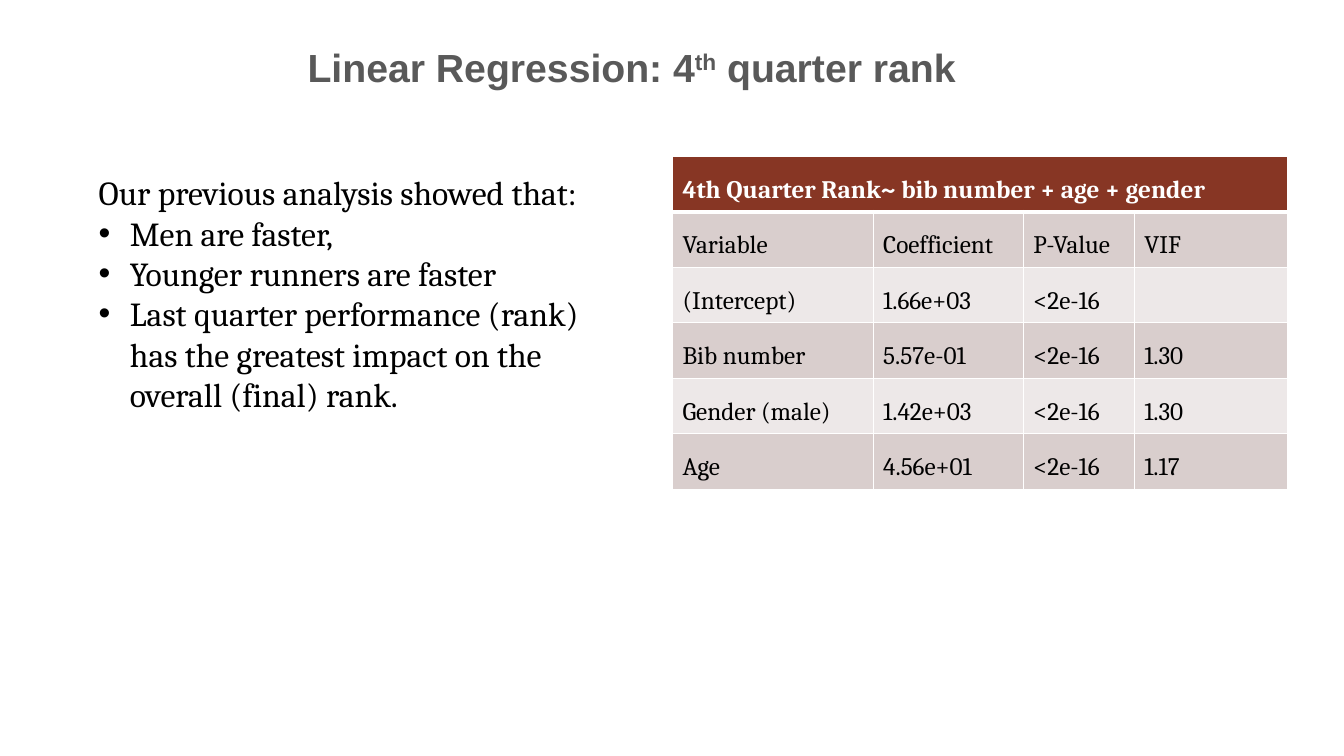
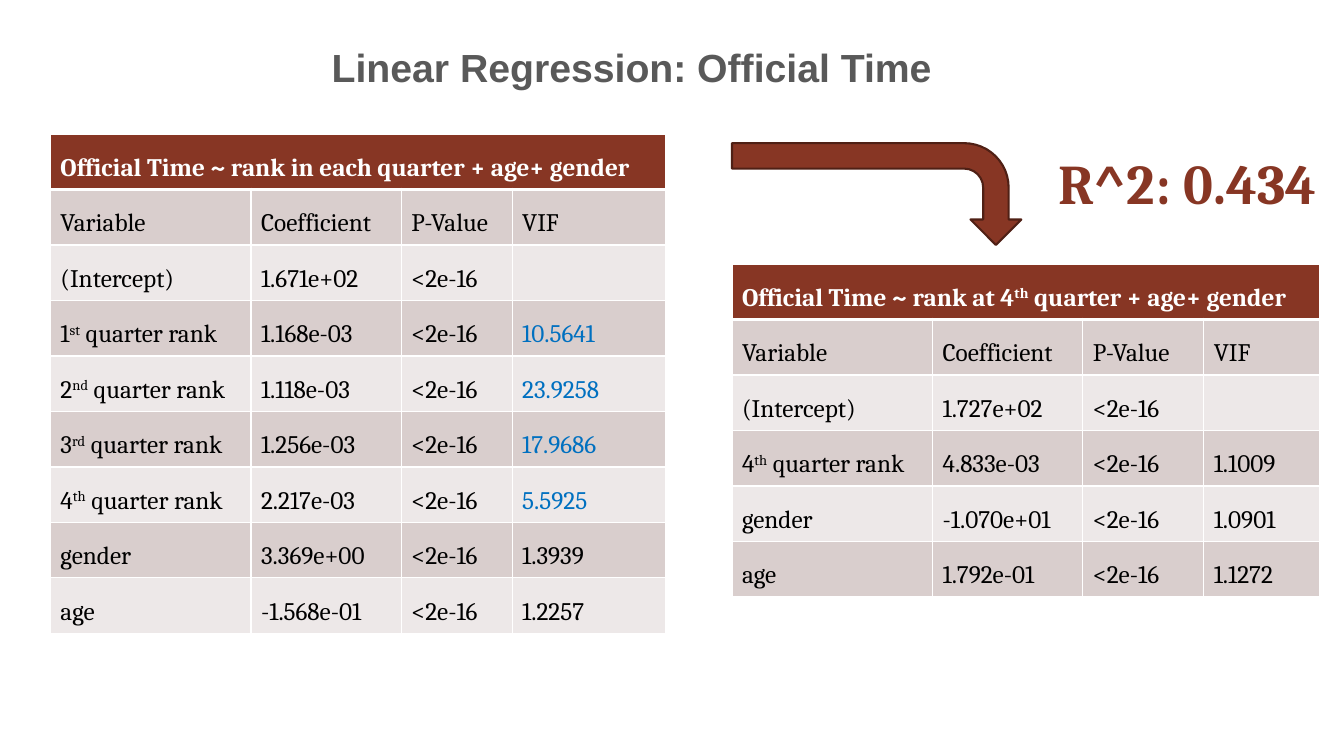
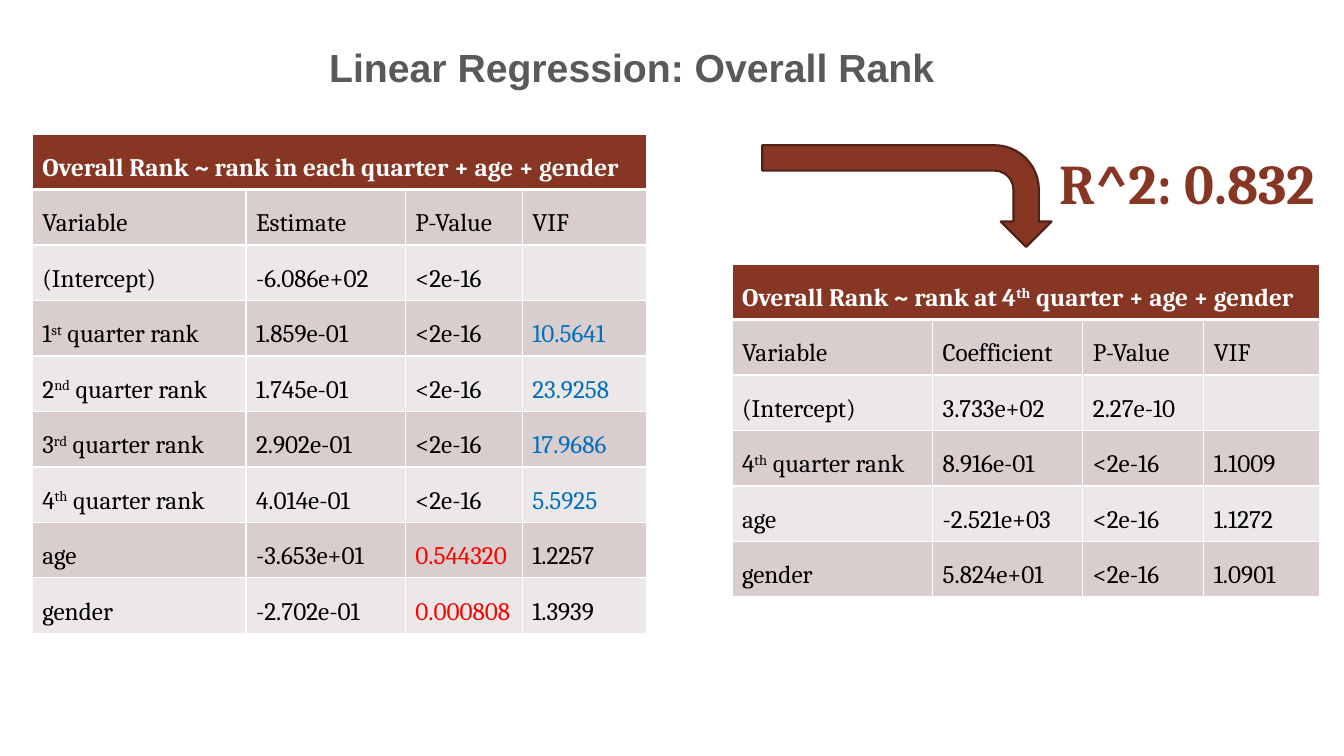
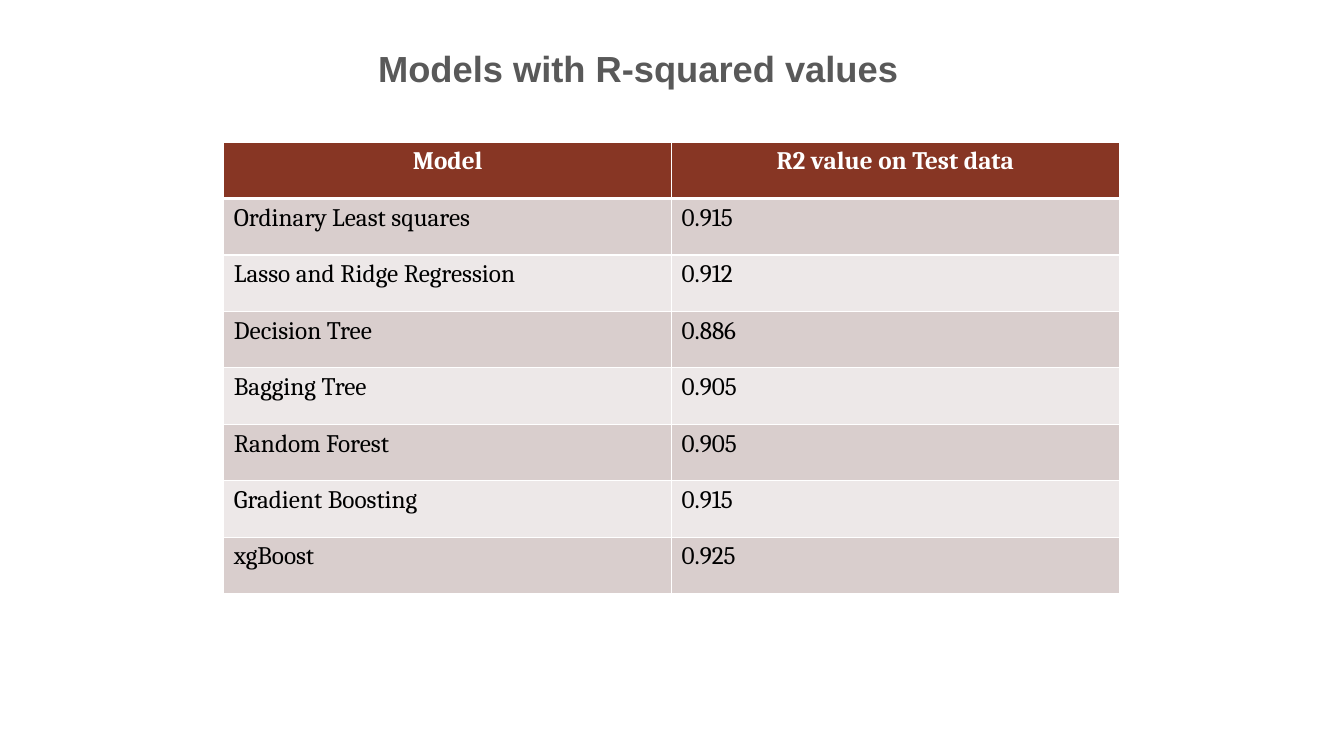
from lxml.etree import SubElement
from pptx import Presentation
from pptx.dml.color import RGBColor
from pptx.enum.shapes import MSO_SHAPE
from pptx.enum.text import MSO_ANCHOR, PP_ALIGN
from pptx.oxml.ns import qn
from pptx.util import Pt

PX = 9144  # EMU in one px, 100 px to the inch
COLORS = {
    "brick": "873624", "dark_brick": "4F2015", "band": "D9CECD",
    "pale_band": "EDE8E8", "white": "FFFFFF", "black": "000000",
    "grey": "595959", "blue": "0070C0", "red": "FF0000",
}
SERIF, SANS = "Cambria", "Arial"
TITLE_BOX = (148, 34, 957, 64)
R2_BOX = (1035, 142, 285, 77)
ROW_H, MODEL_ROW_H = 41, 56
WIDE_COLS = (199, 149, 110, 152)
ESTIMATE_COLS = (212, 158, 116, 123)
NARROW_COLS = (199, 149, 120, 115)

# Braces mark superscript; a (text, colour) pair colours a table cell.
FINDINGS = [
    "Our previous analysis showed that:",
    "Men are faster,",
    "Younger runners are faster",
    "Last quarter performance (rank) has the greatest impact on the overall (final) rank.",
]
LABELS = ("Variable", "Coefficient", "P-Value", "VIF")
P_MIN = "<2e-16"
QUARTERS = [("1{st} quarter rank", "10.5641"), ("2{nd} quarter rank", "23.9258"),
            ("3{rd} quarter rank", "17.9686"), ("4{th} quarter rank", "5.5925")]


def quarter_rows(coefficients):
    return [(name, value, P_MIN, (vif, "blue"))
            for (name, vif), value in zip(QUARTERS, coefficients)]


REGRESSIONS = [
    {
        "title": "Linear Regression: 4{th} quarter rank",
        "tables": [(667, 155, WIDE_COLS, [
            ("4th Quarter Rank~ bib number + age + gender",),
            LABELS,
            ("(Intercept)", "1.66e+03", P_MIN, ""),
            ("Bib number", "5.57e-01", P_MIN, "1.30"),
            ("Gender (male)", "1.42e+03", P_MIN, "1.30"),
            ("Age", "4.56e+01", P_MIN, "1.17"),
        ])],
        "findings": FINDINGS,
    },
    {
        "title": "Linear Regression: Official Time",
        "tables": [
            (50, 133, WIDE_COLS, [
                ("Official Time ~ rank in each quarter + age+ gender",),
                LABELS,
                ("(Intercept)", "1.671e+02", P_MIN, ""),
                *quarter_rows(["1.168e-03", "1.118e-03", "1.256e-03", "2.217e-03"]),
                ("gender", "3.369e+00", P_MIN, "1.3939"),
                ("age", "-1.568e-01", P_MIN, "1.2257"),
            ]),
            (726, 262, NARROW_COLS, [
                ("Official Time ~ rank at 4{th} quarter + age+ gender",),
                LABELS,
                ("(Intercept)", "1.727e+02", P_MIN, ""),
                ("4{th} quarter rank", "4.833e-03", P_MIN, "1.1009"),
                ("gender", "-1.070e+01", P_MIN, "1.0901"),
                ("age", "1.792e-01", P_MIN, "1.1272"),
            ]),
        ],
        "arrow": (819, 49, 101, 287),
        "r2": "R^2: 0.434",
    },
    {
        "title": "Linear Regression: Overall Rank",
        "tables": [
            (32, 133, ESTIMATE_COLS, [
                ("Overall Rank ~ rank in each quarter + age + gender",),
                ("Variable", "Estimate", "P-Value", "VIF"),
                ("(Intercept)", "-6.086e+02", P_MIN, ""),
                *quarter_rows(["1.859e-01", "1.745e-01", "2.902e-01", "4.014e-01"]),
                ("age", "-3.653e+01", ("0.544320", "red"), "1.2257"),
                ("gender", "-2.702e-01", ("0.000808", "red"), "1.3939"),
            ]),
            (726, 262, NARROW_COLS, [
                ("Overall Rank ~ rank at 4{th} quarter + age + gender",),
                LABELS,
                ("(Intercept)", "3.733e+02", "2.27e-10", ""),
                ("4{th} quarter rank", "8.916e-01", P_MIN, "1.1009"),
                ("age", "-2.521e+03", P_MIN, "1.1272"),
                ("gender", "5.824e+01", P_MIN, "1.0901"),
            ]),
        ],
        "arrow": (849, 51, 101, 287),
        "r2": "R^2: 0.832",
    },
]
MODELS = [
    ("Model", "R2 value on Test data"),
    ("Ordinary Least squares", "0.915"),
    ("Lasso and Ridge Regression", "0.912"),
    ("Decision Tree", "0.886"),
    ("Bagging Tree", "0.905"),
    ("Random Forest", "0.905"),
    ("Gradient Boosting", "0.915"),
    ("xgBoost", "0.925"),
]


def rgb(name):
    return RGBColor.from_string(COLORS[name])


def emu(box):
    return [n * PX for n in box]


def write(p, text, size=18, font=SERIF, color="black", bold=False,
          align=PP_ALIGN.LEFT, spacing=None, bullet=False):
    """Fill a paragraph; text in braces becomes superscript."""
    if bullet:
        pPr = p._p.get_or_add_pPr()
        pPr.set("marL", str(31 * PX))
        pPr.set("indent", str(-31 * PX))
        SubElement(pPr, qn("a:buFont"), typeface=SANS)
        SubElement(pPr, qn("a:buChar"), char="•")
    p.alignment = align
    p.line_spacing = spacing
    for i, part in enumerate(text.replace("}", "{").split("{")):
        if not part:
            continue
        r = p.add_run()
        r.text = part
        r.font.size, r.font.name, r.font.bold = Pt(size), font, bold
        r.font.color.rgb = rgb(color)
        if i % 2:
            r._r.get_or_add_rPr().set("baseline", "30000")


def add_text(s, box, lines, anchor=MSO_ANCHOR.TOP, bullets=False, **fmt):
    """Add a text box; with bullets, every line after the first has one."""
    tf = s.shapes.add_textbox(*emu(box)).text_frame
    tf.word_wrap = True
    tf.vertical_anchor = anchor
    for i, line in enumerate(lines):
        p = tf.add_paragraph() if i else tf.paragraphs[0]
        write(p, line, bullet=bullets and i > 0, **fmt)


def add_title(s, text, box=TITLE_BOX, size=28):
    add_text(s, box, [text], anchor=MSO_ANCHOR.MIDDLE, size=size, font=SANS,
             color="grey", bold=True, align=PP_ALIGN.CENTER)


def style_cell(cell, row):
    """Set the white borders, thick under the header, and the band fill."""
    tcPr = cell._tc.get_or_add_tcPr()
    thick = {0: "B", 1: "T"}.get(row)
    for side in "LRTB":
        ln = SubElement(tcPr, qn("a:ln" + side), w=str(Pt(3 if side == thick else 1)))
        fill = SubElement(ln, qn("a:solidFill"))
        SubElement(fill, qn("a:srgbClr"), val=COLORS["white"])
    cell.fill.solid()
    cell.fill.fore_color.rgb = rgb(
        "brick" if row == 0 else "band" if row % 2 else "pale_band")


def add_table(s, x, y, cols, rows, row_h=ROW_H, spacing=1.5, head_align=PP_ALIGN.LEFT):
    box = (x, y, sum(cols), row_h * len(rows))
    table = s.shapes.add_table(len(rows), len(cols), *emu(box)).table
    table.horz_banding = False
    for column, width in zip(table.columns, cols):
        column.width = width * PX
    for i, row in enumerate(rows):
        table.rows[i].height = row_h * PX
        for j in range(len(cols)):
            style_cell(table.cell(i, j), i)
        if len(row) == 1:
            table.cell(i, 0).merge(table.cell(i, len(cols) - 1))
        for j, value in enumerate(row):
            text, color = value if isinstance(value, tuple) else (value, "black")
            head = i == 0
            write(table.cell(i, j).text_frame.paragraphs[0], text, spacing=spacing,
                  color="white" if head else color, bold=head,
                  align=head_align if head else PP_ALIGN.LEFT)


def add_arrow(s, box):
    sp = s.shapes.add_shape(MSO_SHAPE.BENT_ARROW, *emu(box))
    sp.rotation = 90
    sp.shadow.inherit = False
    sp.fill.solid()
    sp.fill.fore_color.rgb = rgb("brick")
    sp.line.color.rgb = rgb("dark_brick")
    sp.line.width = Pt(1.5)


def main():
    prs = Presentation()
    prs.slide_width, prs.slide_height = emu((1333, 750))
    blank = prs.slide_layouts[6]

    for regression in REGRESSIONS:
        s = prs.slides.add_slide(blank)
        add_title(s, regression["title"])
        for table in regression["tables"]:
            add_table(s, *table)
        if "findings" in regression:
            add_text(s, (88, 166, 531, 293), regression["findings"], bullets=True, size=24)
        if "arrow" in regression:
            add_arrow(s, regression["arrow"])
            add_text(s, R2_BOX, [regression["r2"]], size=40, color="brick",
                     bold=True, align=PP_ALIGN.CENTER)

    s = prs.slides.add_slide(blank)
    add_title(s, "Models with R-squared values", box=(359, 36, 548, 62), size=25.9)
    add_table(s, 222, 141, (444, 444), MODELS, row_h=MODEL_ROW_H, spacing=None,
              head_align=PP_ALIGN.CENTER)
    prs.save("out.pptx")


if __name__ == "__main__":
    main()
